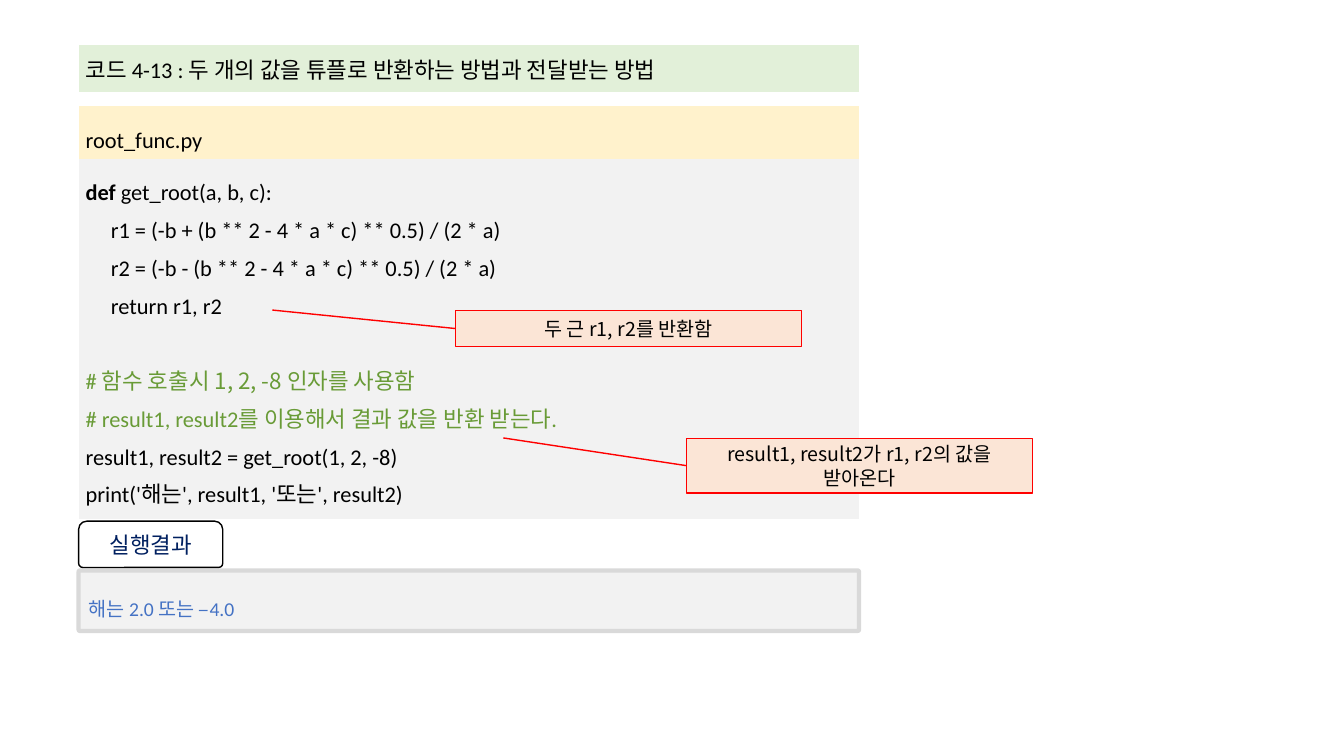
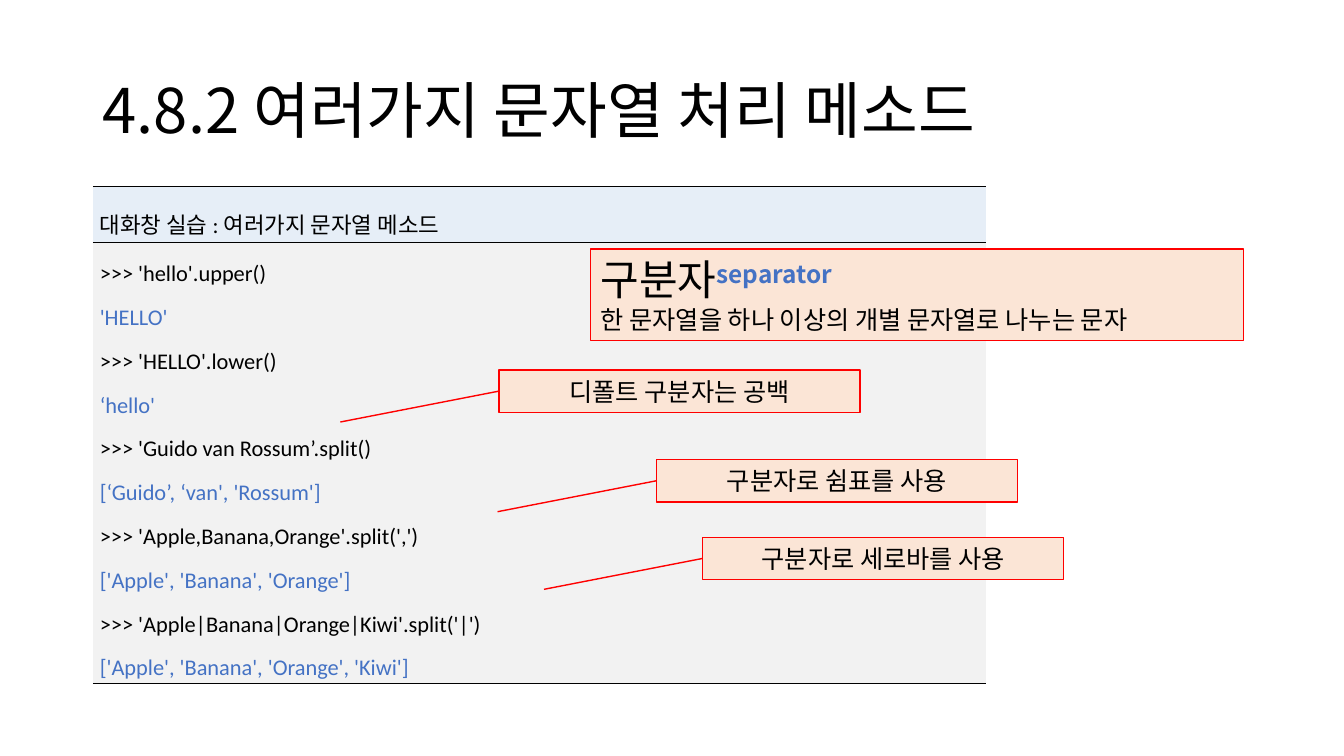
"""Two lecture slides on returning tuples and on string methods in Python."""
from lxml import etree
from pptx import Presentation
from pptx import util as u
from pptx.dml.color import RGBColor
from pptx.enum import shapes, text
from pptx.oxml.ns import qn

COLORS = {
    "black": "000000", "white": "FFFFFF", "gray": "F2F2F2", "edge": "D9D9D9",
    "green": "E2F0D9", "yellow": "FFF2CC", "sky": "E6EEF7", "peach": "FBE5D6",
    "red": "FF0000", "blue": "4472C4", "navy": "002060", "comment": "699B37",
}
LATIN, KOREAN = "Calibri", "Noto Sans CJK KR"
NO_GRID = "{2D5ABB26-0587-4C30-8999-92F81FD0307C}"
ALIGN = text.PP_ALIGN
SHAPE = shapes.MSO_SHAPE


def add_para(tf, runs, size=16, font=LATIN, align=ALIGN.LEFT, spacing=1.0, before=0, indent=0):
    """Add one paragraph; each run is (text, color, options)."""
    p = tf.paragraphs[0]
    if p.runs:
        p = tf.add_paragraph()
    p.alignment, p.line_spacing, p.space_before = align, spacing, u.Pt(before)
    if indent:
        p._p.get_or_add_pPr().set("marL", str(u.Inches(indent)))
    for words, color, options in runs:
        r = p.add_run()
        r.text = words
        r.font.size = u.Pt(size)
        r.font.name = options.get("font", font)
        r.font.bold = options.get("bold", False)
        r.font.color.rgb = RGBColor.from_string(COLORS[color])
        rPr = r._r.get_or_add_rPr()
        etree.SubElement(rPr, qn("a:ea"), typeface=KOREAN)
        if "raise" in options:
            rPr.set("baseline", str(options["raise"] * 1000))


def add_box(s, kind, at, fill, line, width, adjust=()):
    """Add a filled and outlined preset shape."""
    sp = s.shapes.add_shape(kind, *map(u.Inches, at))
    sp.shadow.inherit = False
    sp.fill.solid()
    sp.fill.fore_color.rgb = RGBColor.from_string(COLORS[fill])
    sp.line.color.rgb = RGBColor.from_string(COLORS[line])
    sp.line.width = u.Pt(width)
    for i, value in enumerate(adjust):
        sp.adjustments[i] = value
    sp.text_frame.word_wrap = True
    sp.text_frame.vertical_anchor = text.MSO_ANCHOR.MIDDLE
    return sp


prs = Presentation()
prs.slide_width, prs.slide_height = u.Inches(13.33), u.Inches(7.5)
tuple_slide, string_slide = [prs.slides.add_slide(prs.slide_layouts[6]) for _ in range(2)]

loose = {"align": ALIGN.JUSTIFY, "spacing": 1.6}
code = {"spacing": u.Pt(27)}
body = {**code, "indent": 0.25}
function_code = [
    ([("def ", "black", {"bold": True}), ("get_root(a, b, c):", "black", {})], code),
    ([("r1 = (-b + (b ** 2 - 4 * a * c) ** 0.5) / (2 * a)", "black", {})], body),
    ([("r2 = (-b - (b ** 2 - 4 * a * c) ** 0.5) / (2 * a)", "black", {})], body),
    ([("return r1, r2", "black", {})], body),
    ([("# ", "comment", {}), ("함수 호출시 1, 2, -8 인자를 사용함", "comment", {"font": KOREAN})],
     {**code, "before": 27}),
    ([("# result1, result2를 이용해서 결과 값을 반환 받는다.", "comment", {})], code),
    ([("result1, result2 = get_root(1, 2, -8)", "black", {})], code),
    ([("print('해는', result1, '또는', result2)", "black", {})], code),
]
dialog = [
    (">>> 'hello'.upper()", "'HELLO'"),
    (">>> 'HELLO'.lower()", "‘hello'"),
    (">>> 'Guido van Rossum’.split()", "[‘Guido’, ‘van', 'Rossum']"),
    (">>> 'Apple,Banana,Orange'.split(',')", "['Apple', 'Banana', 'Orange']"),
    (">>> 'Apple|Banana|Orange|Kiwi'.split('|')", "['Apple', 'Banana', 'Orange', 'Kiwi']"),
]
dialog_lines = [([(line, color, {})], loose)
                for pair in dialog for line, color in zip(pair, ("black", "blue"))]
title = "코드 4-13 : 두 개의 값을 튜플로 반환하는 방법과 전달받는 방법"
practice = "대화창 실습 : 여러가지 문자열 메소드"

tables = [
    (tuple_slide, 0.78, 0.45, 7.74, {}, [
        (0.46, "green", [([(title, "black", {})], {})]),
        (0.14, None, []),
        (0.53, "yellow", [([("root_func.py", "black", {})], loose)]),
        (3.57, "gray", function_code),
    ]),
    (string_slide, 0.92, 1.85, 8.86, {"a:lnB": 0.28, "a:lnT": 1}, [
        (0.55, "sky", [([(practice, "black", {})], loose)]),
        (4.38, "gray", dialog_lines),
    ]),
]
for s, left, top, width, borders, rows in tables:
    height = sum(row[0] for row in rows)
    table = s.shapes.add_table(len(rows), 1, *map(u.Inches, (left, top, width, height))).table
    table.first_row = table.horz_banding = False
    table._tbl.tblPr.find(qn("a:tableStyleId")).text = NO_GRID
    for i, (row_height, fill, paragraphs) in enumerate(rows):
        table.rows[i].height = u.Inches(row_height)
        cell = table.cell(i, 0)
        cell.margin_left = cell.margin_right = u.Inches(0.07)
        cell.margin_top = cell.margin_bottom = u.Inches(0.02)
        cell.vertical_anchor = text.MSO_ANCHOR.MIDDLE
        if fill:
            cell.fill.solid()
            cell.fill.fore_color.rgb = RGBColor.from_string(COLORS[fill])
        else:
            cell.fill.background()
            etree.SubElement(cell.text_frame.paragraphs[0]._p, qn("a:endParaRPr"), sz="500")
        for runs, style in paragraphs:
            add_para(cell.text_frame, runs, **style)
        for tag, points in borders.items():
            if tag == "a:lnT" and i:
                points = borders["a:lnB"]
            ln = etree.Element(qn(tag), w=str(u.Pt(points)))
            color = etree.SubElement(etree.SubElement(ln, qn("a:solidFill")), qn("a:srgbClr"))
            color.set("val", COLORS["black"])
            cell._tc.get_or_add_tcPr().insert(0, ln)

add_box(tuple_slide, SHAPE.ROUNDED_RECTANGLE, (0.78, 5.66, 7.74, 0.6), "gray", "edge", 3, (0.02,))
tab = add_box(tuple_slide, SHAPE.ROUND_2_SAME_RECTANGLE, (0.78, 5.17, 1.43, 0.46),
              "white", "black", 1, (0.18, 0.09))
add_para(tab.text_frame, [("실행결과", "navy", {})], font=KOREAN, align=ALIGN.CENTER)
result = tuple_slide.shapes.add_textbox(*map(u.Inches, (0.78, 5.73, 7.06, 0.43)))
result.text_frame.word_wrap = True
add_para(result.text_frame, [("해는 2.0 또는 –4.0", "blue", {})], size=14, **loose)

heading = string_slide.shapes.add_textbox(*map(u.Inches, (0.92, 0.4, 11.5, 1.45)))
heading.text_frame.word_wrap = True
heading.text_frame.vertical_anchor = text.MSO_ANCHOR.MIDDLE
add_para(heading.text_frame, [("4.8.2 여러가지 문자열 처리 메소드", "black", {})],
         size=44, font=KOREAN, spacing=0.9)

term = add_box(string_slide, SHAPE.RECTANGLE, (5.86, 2.47, 6.47, 0.91), "peach", "red", 0.75)
term.text_frame.vertical_anchor = text.MSO_ANCHOR.TOP
add_para(term.text_frame, [("구분자", "black", {}), ("separator", "blue", {"bold": True, "raise": 30})],
         size=30, font=KOREAN)
add_para(term.text_frame, [("한 문자열을 하나 이상의 개별 문자열로 나누는 문자", "black", {})],
         size=18, font=KOREAN)

up_left, down_left = (0.5, 0, -0.01, -0.53), (0.5, 0, 1.23, -0.44)
callouts = [
    (tuple_slide, (4.52, 3.08, 3.43, 0.36), up_left, 14, "두 근 r1, r2를 반환함"),
    (tuple_slide, (6.81, 4.35, 3.43, 0.54), up_left, 14, "result1, result2가 r1, r2의 값을 받아온다"),
    (string_slide, (4.95, 3.67, 3.58, 0.42), down_left, 18, "디폴트 구분자는 공백"),
    (string_slide, (6.51, 4.56, 3.58, 0.42), down_left, 18, "구분자로 쉼표를 사용"),
    (string_slide, (6.97, 5.33, 3.58, 0.42), down_left, 18, "구분자로 세로바를 사용"),
]
for s, at, pointer, size, words in callouts:
    sp = add_box(s, SHAPE.LINE_CALLOUT_1, at, "peach", "red", 1, pointer)
    add_para(sp.text_frame, [(words, "black", {})], size=size, font=KOREAN, align=ALIGN.CENTER)

prs.save("out.pptx")
